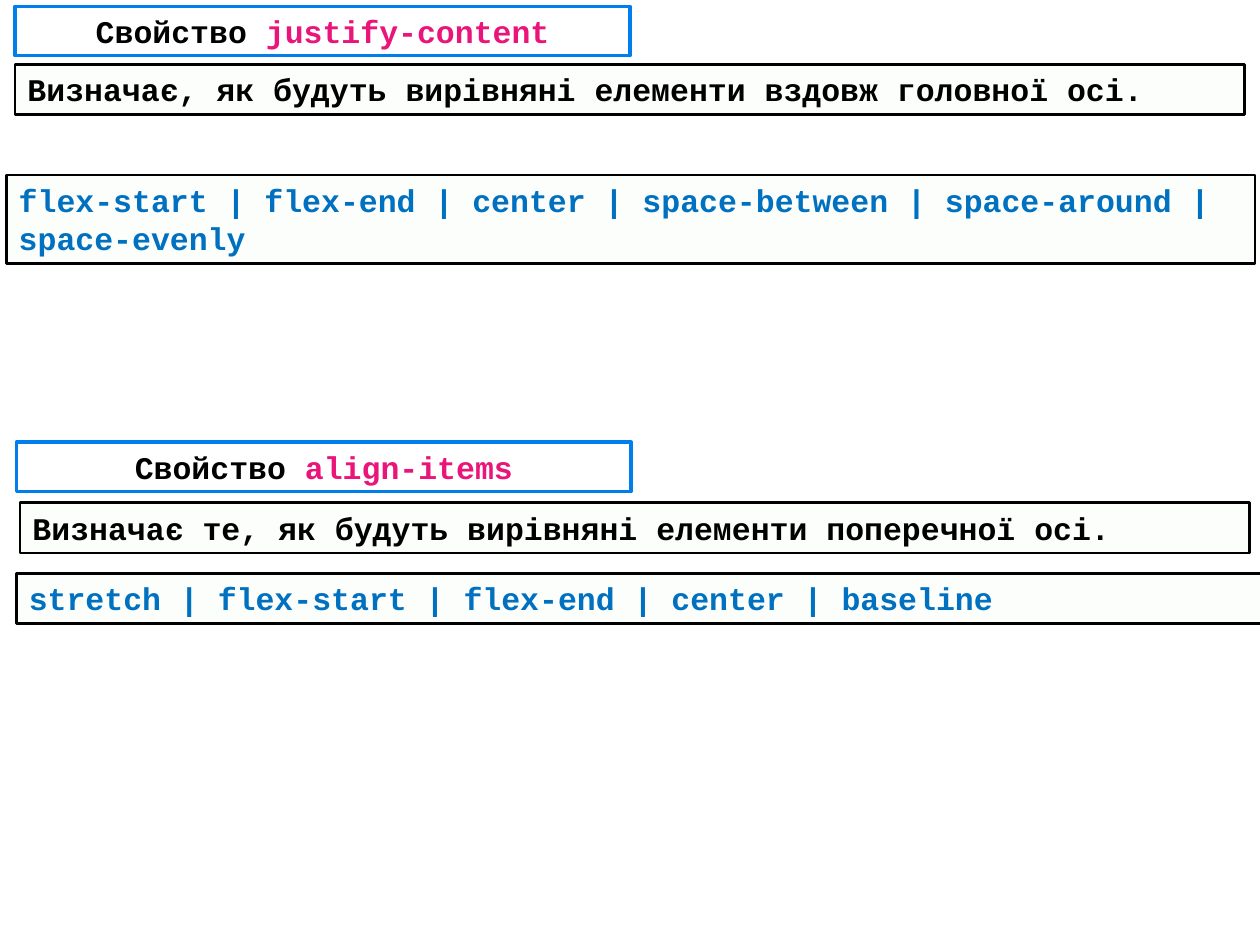
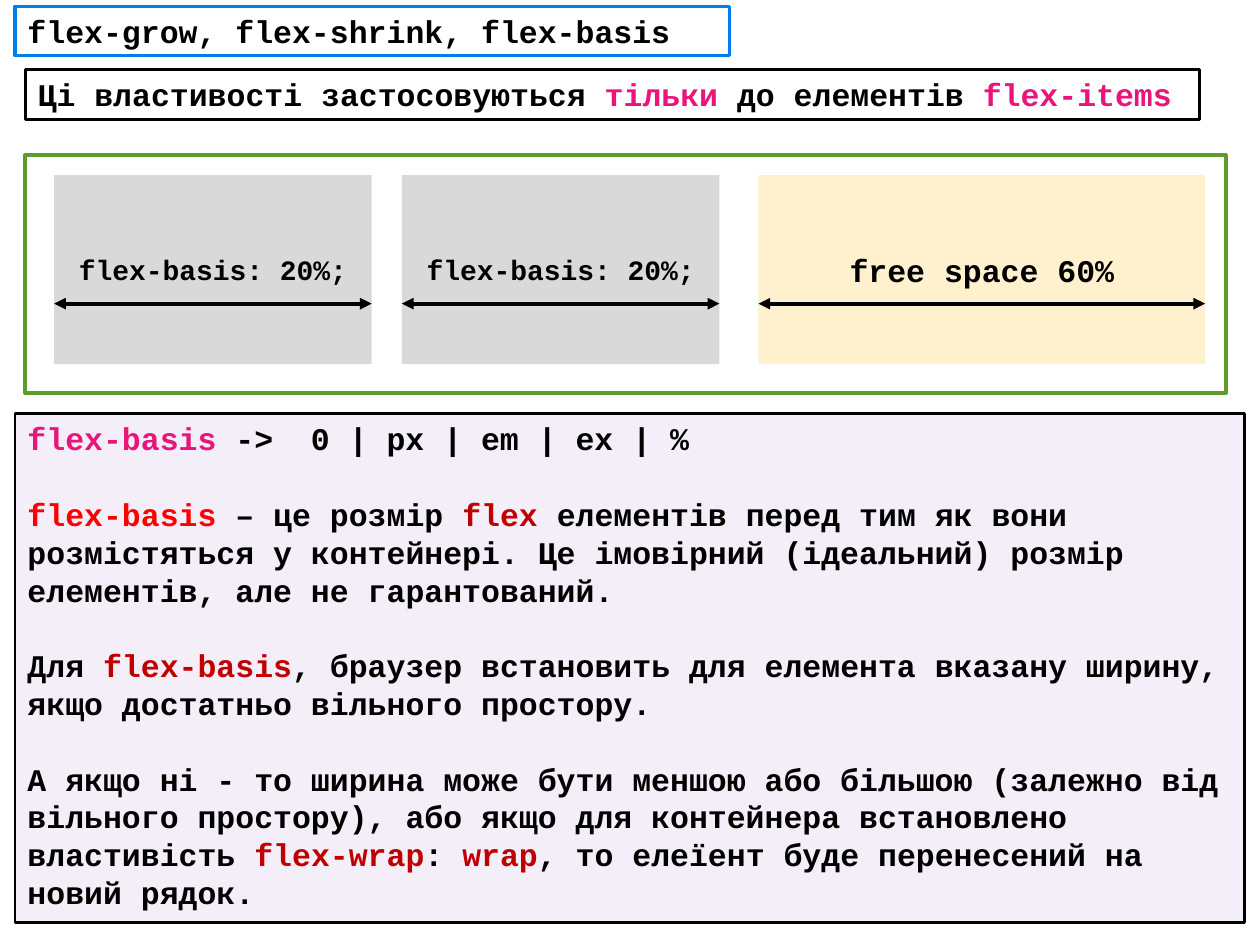
from typing import NamedTuple

from lxml import etree
from pptx import Presentation
from pptx.dml.color import RGBColor
from pptx.enum.shapes import MSO_CONNECTOR, MSO_SHAPE
from pptx.enum.text import MSO_ANCHOR, PP_ALIGN
from pptx.oxml.ns import qn
from pptx.shapes.autoshape import Shape
from pptx.slide import Slide
from pptx.util import Pt

RECTANGLE = MSO_SHAPE.RECTANGLE
STRAIGHT = MSO_CONNECTOR.STRAIGHT
LEFT, CENTER = PP_ALIGN.LEFT, PP_ALIGN.CENTER
TOP, MIDDLE = MSO_ANCHOR.TOP, MSO_ANCHOR.MIDDLE

BLACK = RGBColor(0x00, 0x00, 0x00)
WHITE = RGBColor(0xFF, 0xFF, 0xFF)
TITLE_BLUE = RGBColor(0x00, 0x7E, 0xEB)
VALUE_BLUE = RGBColor(0x00, 0x70, 0xC0)
PINK = RGBColor(0xEA, 0x15, 0x7A)
RED = RGBColor(0xFF, 0x00, 0x00)
DARK_RED = RGBColor(0xC0, 0x00, 0x00)
PALE_GREEN = RGBColor(0xE5, 0xF6, 0xD8)
PURPLE = RGBColor(0x70, 0x30, 0xA0)
FRAME_GREEN = RGBColor(0x5E, 0x9B, 0x2C)
GRAY = RGBColor(0xD9, 0xD9, 0xD9)
CREAM = RGBColor(0xFF, 0xF1, 0xCE)

FONT = "Courier New"
TEXT_SIZE = 18
LINE_HEIGHT = 21.6
TITLE_HEIGHT = 28.08
NOTE_HEIGHT = 28.8
TINT = 8
VALUE_TAB = 162
ITEM_TOP, ITEM_HEIGHT, ARROW_TOP = 100.08, 108, 173.52


class Run(NamedTuple):
    text: str
    color: RGBColor = BLACK


class Box(NamedTuple):
    left: float
    top: float
    width: float
    height: float


class FlexItem(NamedTuple):
    left: float
    width: float
    label: str
    fill: RGBColor
    size: float


Paragraphs = list[list[Run]]

JUSTIFY_TITLE = [[Run("Свойство "), Run("justify-content", PINK)]]
ALIGN_TITLE = [[Run("Свойство "), Run("align-items", PINK)]]
JUSTIFY_NOTE = [[Run("Визначає, як будуть вирівняні елементи вздовж головної осі.")]]
ALIGN_NOTE = [[Run("Визначає те, як будуть вирівняні елементи поперечної осі.")]]
JUSTIFY_VALUES = [
    [Run("flex-start | flex-end | center | space-between | space-around |", VALUE_BLUE)],
    [Run("space-evenly", VALUE_BLUE)],
]
ALIGN_VALUES = [[Run("stretch | flex-start | flex-end | center | baseline", VALUE_BLUE)]]
SCOPE_NOTE = [[
    Run("Ці властивості застосовуються "), Run("тільки ", PINK),
    Run("до елементів "), Run("flex-items", PINK),
]]
BASIS_TEXT = [
    [Run("flex-basis ", PINK), Run("->\t0 | px | em | ex | %")],
    [
        Run("flex-basis", RED), Run(" – це розмір "), Run("flex ", DARK_RED),
        Run("елементів перед тим як вони розмістяться у контейнері. "
            "Це імовірний (ідеальний) розмір елементів, але не гарантований."),
    ],
    [
        Run("Для "), Run("flex-basis", DARK_RED),
        Run(", браузер встановить для елемента вказану ширину, "
            "якщо достатньо вільного простору."),
    ],
    [
        Run("А якщо ні - то ширина може бути меншою або більшою (залежно від "
            "вільного простору), або якщо для контейнера встановлено властивість "),
        Run("flex-wrap", DARK_RED), Run(": "), Run("wrap", DARK_RED),
        Run(", то елеїент буде перенесений на новий рядок."),
    ],
]
FLEX_ITEMS = [
    FlexItem(30.96, 181.44, "flex-basis: 20%;", GRAY, 16),
    FlexItem(229.68, 181.44, "flex-basis: 20%;", GRAY, 16),
    FlexItem(433.44, 255.24, "free space 60%", CREAM, TEXT_SIZE),
]


def add_rectangle(slide: Slide, box: Box, fill: RGBColor | None = None,
                  opacity: int = 100, line: RGBColor | None = None,
                  line_width: float = 1.5) -> Shape:
    shape = slide.shapes.add_shape(RECTANGLE, *map(Pt, box))
    shape.shadow.inherit = False
    if fill is None:
        shape.fill.background()
    else:
        shape.fill.solid()
        shape.fill.fore_color.rgb = fill
        if opacity < 100:
            color = shape.fill._xPr.find(qn("a:solidFill"))[0]
            etree.SubElement(color, qn("a:alpha"), val=str(opacity * 1000))
    if line is None:
        shape.line.fill.background()
    else:
        shape.line.color.rgb = line
        shape.line.width = Pt(line_width)
    return shape


def write_text(shape: Shape, paragraphs: Paragraphs, *, size: float = TEXT_SIZE,
               align: PP_ALIGN = LEFT, anchor: MSO_ANCHOR = TOP,
               gap: float = 0, tab: float | None = None) -> None:
    frame = shape.text_frame
    frame.word_wrap = True
    frame.vertical_anchor = anchor
    for index, runs in enumerate(paragraphs):
        paragraph = frame.add_paragraph() if index else frame.paragraphs[0]
        paragraph.alignment = align
        if index:
            paragraph.space_before = Pt(gap)
        if tab and any("\t" in run.text for run in runs):
            stops = etree.SubElement(paragraph._p.get_or_add_pPr(), qn("a:tabLst"))
            etree.SubElement(stops, qn("a:tab"), pos=str(Pt(tab)), algn="l")
        for part in runs:
            run = paragraph.add_run()
            run.text = part.text
            run.font.name = FONT
            run.font.size = Pt(size)
            run.font.bold = True
            run.font.color.rgb = part.color


def add_title(slide: Slide, left: float, top: float, width: float,
              text: Paragraphs, align: PP_ALIGN = CENTER) -> None:
    box = Box(left, top, width, TITLE_HEIGHT)
    shape = add_rectangle(slide, box, WHITE, line=TITLE_BLUE, line_width=2)
    write_text(shape, text, align=align, anchor=MIDDLE)


def add_note(slide: Slide, box: Box, text: Paragraphs,
             fill: RGBColor | None = PALE_GREEN, gap: float = 0,
             tab: float | None = None) -> None:
    shape = add_rectangle(slide, box, fill, TINT, BLACK)
    write_text(shape, text, gap=gap, tab=tab)


def add_double_arrow(slide: Slide, left: float, right: float, top: float) -> None:
    arrow = slide.shapes.add_connector(STRAIGHT, Pt(left), Pt(top), Pt(right), Pt(top))
    arrow.line.color.rgb = BLACK
    arrow.line.width = Pt(2.25)
    for end in ("a:headEnd", "a:tailEnd"):
        etree.SubElement(arrow.line._get_or_add_ln(), qn(end), type="triangle")
    etree.SubElement(arrow._element.spPr, qn("a:effectLst"))


def add_flex_item(slide: Slide, item: FlexItem) -> None:
    box = Box(item.left, ITEM_TOP, item.width, ITEM_HEIGHT)
    shape = add_rectangle(slide, box, item.fill)
    write_text(shape, [[Run(item.label)]], size=item.size, align=CENTER, anchor=MIDDLE)
    add_double_arrow(slide, item.left, item.left + item.width, ARROW_TOP)


def build_alignment_slide(slide: Slide) -> None:
    add_title(slide, 8.64, 3.6, 351.36, JUSTIFY_TITLE)
    add_note(slide, Box(8.64, 36.72, 702.72, NOTE_HEIGHT), JUSTIFY_NOTE)
    add_note(slide, Box(3.6, 100.08, 713.52, NOTE_HEIGHT + LINE_HEIGHT), JUSTIFY_VALUES)
    add_note(slide, Box(11.52, 287.28, 702.72, NOTE_HEIGHT), ALIGN_NOTE)
    add_note(slide, Box(9.36, 327.6, 713.52, NOTE_HEIGHT), ALIGN_VALUES)
    add_title(slide, 9.36, 252.72, 351.36, ALIGN_TITLE)


def build_basis_slide(slide: Slide) -> None:
    add_title(slide, 8.64, 3.6, 408.24,
              [[Run("flex-grow, flex-shrink, flex-basis")]], LEFT)
    add_note(slide, Box(8.64, 236.16, 702.72, 290.88), BASIS_TEXT,
             fill=PURPLE, gap=LINE_HEIGHT, tab=VALUE_TAB)
    add_note(slide, Box(14.4, 39.6, 671.04, NOTE_HEIGHT), SCOPE_NOTE, fill=None)
    add_rectangle(slide, Box(14.4, 88.56, 686.16, 136.08), line=FRAME_GREEN, line_width=2)
    for item in FLEX_ITEMS:
        add_flex_item(slide, item)


def main() -> None:
    presentation = Presentation()
    presentation.slide_width = Pt(720)
    presentation.slide_height = Pt(540)
    blank = presentation.slide_layouts[6]
    for build in (build_alignment_slide, build_basis_slide):
        build(presentation.slides.add_slide(blank))
    presentation.save("out.pptx")


if __name__ == "__main__":
    main()
